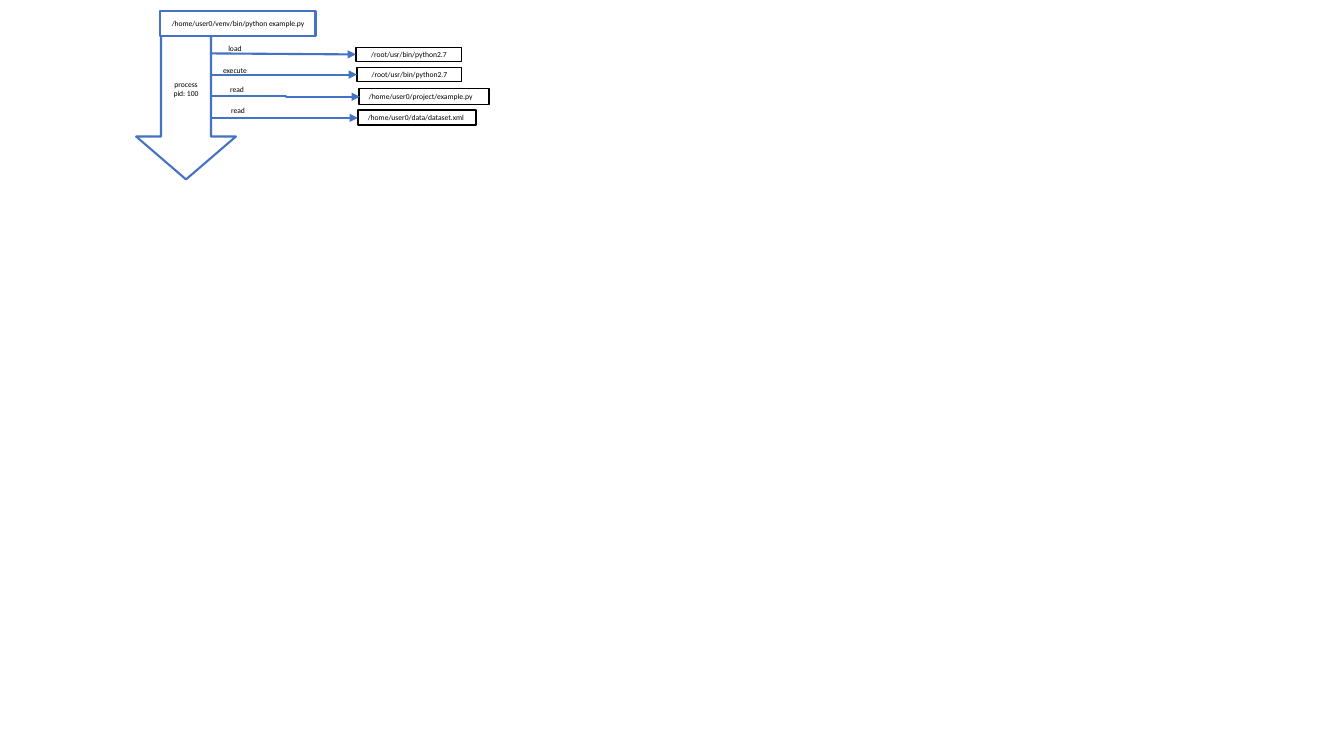
from lxml.etree import SubElement
from pptx import Presentation
from pptx.dml.color import RGBColor
from pptx.enum.shapes import MSO_CONNECTOR, MSO_SHAPE
from pptx.enum.text import MSO_ANCHOR, MSO_AUTO_SIZE, PP_ALIGN
from pptx.oxml.ns import qn
from pptx.util import Inches, Pt

BLUE, BLACK, WHITE = "4472C4", "000000", "FFFFFF"
FONT = {"name": "Calibri", "size": Pt(5.4)}
LABEL_SIZE = (0.62, 0.19)
STRAIGHT, ELBOW = MSO_CONNECTOR.STRAIGHT, MSO_CONNECTOR.ELBOW
CENTER, LEFT = PP_ALIGN.CENTER, PP_ALIGN.LEFT

# Each access: verb, label corner, arrow start, arrow end, route, file, file box, alignment
ACCESSES = [
    ("load", (2.02, 0.39), (2.1, 0.53), (3.53, 0.54), STRAIGHT,
     "/root/usr/bin/python2.7", (3.53, 0.47, 1.05, 0.14), CENTER),
    ("execute", (2.02, 0.6), (2.09, 0.74), (3.54, 0.74), STRAIGHT,
     "/root/usr/bin/python2.7", (3.54, 0.67, 1.04, 0.14), CENTER),
    ("read", (2.04, 0.79), (2.1, 0.95), (3.57, 0.96), ELBOW,
     "/home/user0/project/example.py", (3.56, 0.88, 1.29, 0.16), LEFT),
    ("read", (2.05, 1), (2.1, 1.17), (3.55, 1.17), ELBOW,
     "/home/user0/data/dataset.xml", (3.55, 1.09, 1.17, 0.15), LEFT),
]


def color(hex_code):
    """Turn a hex string into a colour."""
    return RGBColor.from_string(hex_code)


def inches(values):
    """Convert a sequence of numbers to lengths."""
    return [Inches(value) for value in values]


def write(frame, text, align=CENTER, **frame_format):
    """Put one formatted paragraph into a text frame."""
    for key, value in {"word_wrap": True, **frame_format}.items():
        setattr(frame, key, value)
    paragraph = frame.paragraphs[0]
    paragraph.alignment = align
    run = paragraph.add_run()
    run.text = text
    for key, value in FONT.items():
        setattr(run.font, key, value)
    run.font.color.rgb = color(BLACK)


def set_line(line, hex_code, width):
    """Give a line its colour and width in points."""
    line.color.rgb = color(hex_code)
    line.width = Pt(width)


def add_box(slide, kind, box, text, outline, width, align=CENTER):
    """Add a white outlined shape with text and return it."""
    shape = slide.shapes.add_shape(kind, *inches(box))
    shape.shadow.inherit = False
    shape.fill.solid()
    shape.fill.fore_color.rgb = color(WHITE)
    set_line(shape.line, outline, width)
    write(shape.text_frame, text, align, vertical_anchor=MSO_ANCHOR.MIDDLE)
    return shape


def add_label(slide, corner, text):
    """Add the verb above an access arrow."""
    label = slide.shapes.add_textbox(*inches(corner + LABEL_SIZE))
    write(label.text_frame, text, auto_size=MSO_AUTO_SIZE.SHAPE_TO_FIT_TEXT)


def add_arrow(slide, route, start, end):
    """Add a blue arrow between two points."""
    arrow = slide.shapes.add_connector(route, *inches(start + end))
    set_line(arrow.line, BLUE, 1.5)
    SubElement(arrow.line._get_or_add_ln(), qn("a:tailEnd"), type="triangle")
    SubElement(arrow._element.spPr, qn("a:effectLst"))


def main():
    """Build the process access slide."""
    deck = Presentation()
    deck.slide_width, deck.slide_height = Inches(13.33), Inches(7.5)
    slide = deck.slides.add_slide(deck.slide_layouts[6])

    process = add_box(slide, MSO_SHAPE.DOWN_ARROW, (1.35, 0.2, 0.99, 1.58),
                      "process pid: 100", BLUE, 1.5)
    process.adjustments[0], process.adjustments[1] = 0.5, 0.43
    add_box(slide, MSO_SHAPE.RECTANGLE, (1.59, 0.11, 1.54, 0.25),
            "/home/user0/venv/bin/python example.py", BLUE, 1.5)

    for verb, corner, start, end, route, file_name, file_box, align in ACCESSES:
        add_box(slide, MSO_SHAPE.RECTANGLE, file_box, file_name, BLACK, 1, align)
        add_arrow(slide, route, start, end)
        add_label(slide, corner, verb)

    deck.save("out.pptx")


main()
